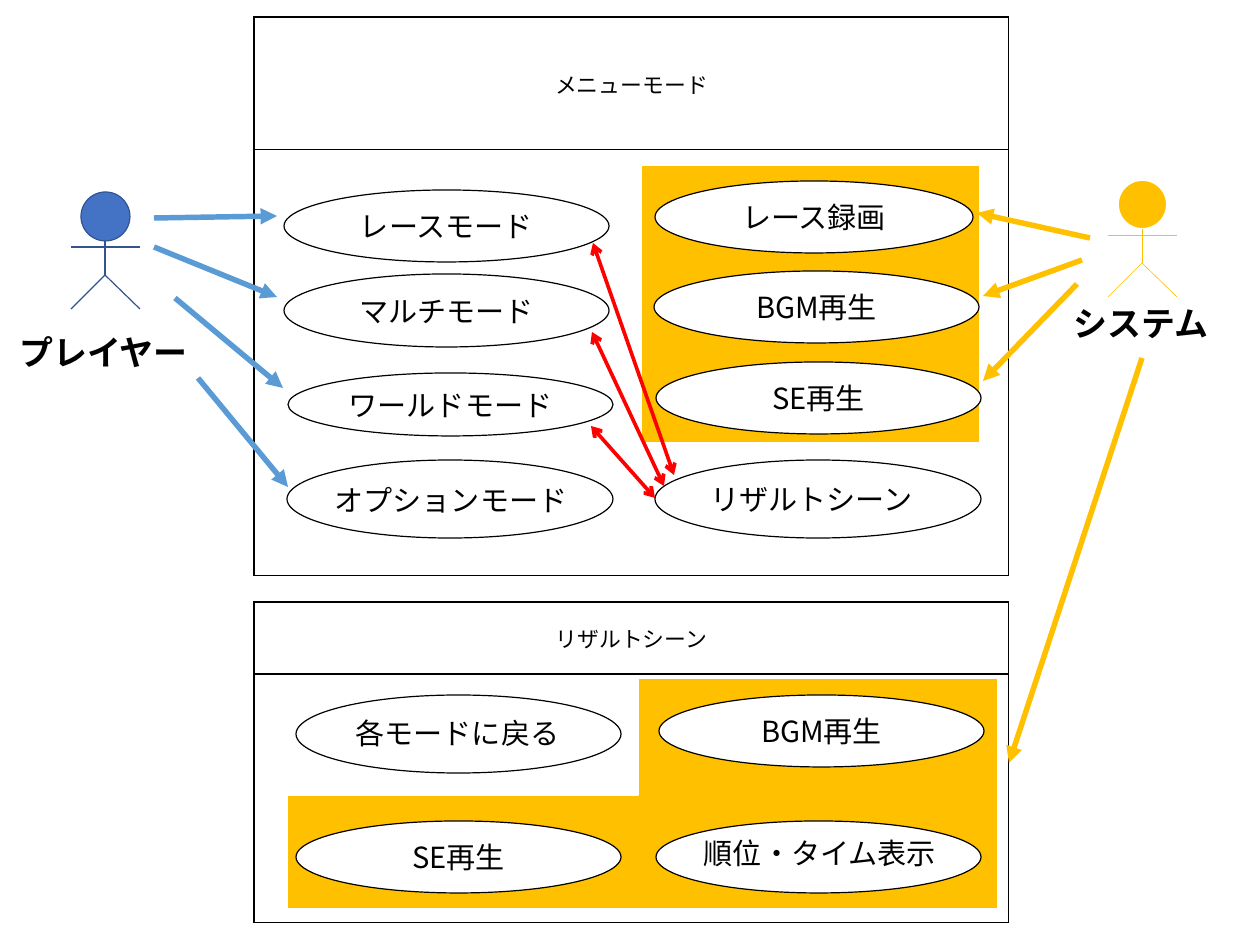
from lxml.etree import SubElement
from pptx import Presentation
from pptx.dml.color import RGBColor
from pptx.enum.shapes import MSO_CONNECTOR, MSO_SHAPE
from pptx.enum.text import MSO_ANCHOR, MSO_AUTO_SIZE, PP_ALIGN
from pptx.oxml.ns import qn
from pptx.util import Pt

PX = 10480  # EMU per pixel
FONT = "Noto Sans CJK JP"
BLACK, WHITE, GOLD, RED = "000000", "FFFFFF", "FFC000", "FF0000"
BLUE, NAVY, SKY = "4472C4", "325491", "5B9BD5"


def color(hex_string):
    """Turn a hex string into a colour."""
    return RGBColor.from_string(hex_string)


def emu(*pixels):
    """Turn pixels into EMU."""
    return [v * PX for v in pixels]


def write(tf, text, size, bold=False):
    """Write one centred black line into a text frame."""
    tf.text = text
    tf.vertical_anchor = MSO_ANCHOR.MIDDLE
    p = tf.paragraphs[0]
    p.alignment = PP_ALIGN.CENTER
    font = p.runs[0].font
    font.name, font.size, font.bold = FONT, Pt(size), bold
    font.color.rgb = color(BLACK)
    SubElement(p.runs[0]._r.rPr, qn("a:ea"), typeface=FONT)


def paint(sp, fill, line, width):
    """Set the fill and outline of a shape and drop its shadow."""
    sp.shadow.inherit = False
    sp.fill.solid()
    sp.fill.fore_color.rgb = color(fill)
    sp.line.color.rgb = color(line)
    sp.line.width = Pt(width)


def add_label(shapes, box, text, size=24, bold=False):
    """Add a text box that keeps its text on one line."""
    tf = shapes.add_textbox(*emu(*box)).text_frame
    tf.word_wrap = False
    tf.auto_size = MSO_AUTO_SIZE.SHAPE_TO_FIT_TEXT
    write(tf, text, size, bold)


def add_line(shapes, ends, line, width, head=None, tail=None):
    """Add a straight line with optional arrowheads."""
    cn = shapes.add_connector(MSO_CONNECTOR.STRAIGHT, *emu(*ends))
    cn.line.color.rgb = color(line)
    cn.line.width = Pt(width)
    ln = cn.line._get_or_add_ln()
    for tag, kind in (("a:headEnd", head), ("a:tailEnd", tail)):
        if kind:
            SubElement(ln, qn(tag), type=kind)
    SubElement(cn._element.spPr, qn("a:effectLst"))


def add_use_case(s, box, text, label_box=None):
    """Add an ellipse with its text inside, or in a label of its own."""
    sp = s.shapes.add_shape(MSO_SHAPE.OVAL, *emu(*box))
    paint(sp, WHITE, BLACK, 1)
    if label_box:
        add_label(s.shapes, label_box, text)
        return
    tf = sp.text_frame
    tf.margin_left, tf.margin_top, tf.margin_right, tf.margin_bottom = emu(5, 3, 5, 3)
    write(tf, text, 24)


def add_frame(s, box, title, title_height):
    """Add a two-row table: a title above an empty area."""
    x, y, w, h = box
    table = s.shapes.add_table(2, 1, *emu(x, y, w, h)).table
    table.first_row = table.horz_banding = False
    table.rows[0].height, table.rows[1].height = emu(title_height, h - title_height)
    for cell in table.iter_cells():
        tc_pr = cell._tc.get_or_add_tcPr()
        for side in ("lnL", "lnR", "lnT", "lnB"):
            ln = SubElement(tc_pr, qn(f"a:{side}"), w=str(Pt(1)))
            SubElement(SubElement(ln, qn("a:solidFill")), qn("a:srgbClr"), val=BLACK)
        cell.fill.background()
    title_cell = table.cell(0, 0)
    write(title_cell.text_frame, title, 18)
    title_cell.vertical_anchor = MSO_ANCHOR.MIDDLE


def add_menu_mode(s, box):
    """Build the menu mode frame with its use cases and links."""
    x, y = box[:2]
    add_frame(s, box, "メニューモード", 133)
    highlight = s.shapes.add_shape(MSO_SHAPE.RECTANGLE, *emu(x + 387, y + 148, 339, 278))
    paint(highlight, GOLD, WHITE, 1.5)
    for dx, dy, w, h, text in (
        (30, 173, 325, 72, "レースモード"),
        (30, 257, 325, 73, "マルチモード"),
        (34, 356, 325, 63, "ワールドモード"),
        (401, 164, 318, 72, "レース録画"),
        (400, 254, 325, 72, "BGM再生"),
        (402, 345, 325, 72, "SE再生"),
    ):
        add_use_case(s, (x + dx, y + dy, w, h), text)
    add_use_case(s, (x + 33, y + 443, 326, 78), "オプションモード", (x + 71, y + 461, 252, 44))
    add_use_case(s, (x + 401, y + 443, 326, 78), "リザルトシーン", (x + 446, y + 460, 223, 44))
    for x1, y1, x2, y2 in ((339, 226, 420, 458), (338, 315, 410, 469), (337, 409, 401, 481)):
        add_line(s.shapes, (x + x1, y + y1, x + x2, y + y2), RED, 3, "arrow", "arrow")


def add_result_scene(s, box):
    """Build the result scene frame with its use cases."""
    x, y = box[:2]
    add_frame(s, box, "リザルトシーン", 72)
    corners = ((384, 76), (744, 76), (744, 307), (33, 307), (33, 193), (384, 193))
    start, *rest = [(x + dx, y + dy) for dx, dy in corners]
    outline = s.shapes.build_freeform(*start, scale=PX)
    outline.add_line_segments(rest, close=True)
    paint(outline.convert_to_shape(), GOLD, WHITE, 1.5)
    add_use_case(s, (x + 405, y + 93, 325, 72), "BGM再生")
    add_use_case(s, (x + 42, y + 219, 325, 72), "SE再生")
    add_use_case(s, (x + 42, y + 93, 325, 78), "各モードに戻る", (x + 92, y + 109, 223, 44))
    add_use_case(s, (x + 402, y + 219, 325, 72), "順位・タイム表示", (x + 440, y + 229, 252, 44))


def add_actor(s, box, name, name_box, fill, line, head_width, limb_width, arrow_color, arrows):
    """Build a stick figure with its name and the arrows that leave it."""
    x, y, w, h = box
    mid, neck, arm, hip = x + w // 2, y + 49, y + 55, y + 83
    shapes = s.shapes.add_group_shape().shapes
    head = shapes.add_shape(MSO_SHAPE.OVAL, *emu(x + 10, y, 49, 49))
    paint(head, fill, line if head_width == limb_width else WHITE, head_width)
    for ends in (
        (mid, neck, mid, hip),
        (x, y + h, mid, hip),
        (x + w, y + h, mid, hip),
        (x + w, arm, mid, arm),
        (mid, arm, x, arm),
    ):
        add_line(shapes, ends, line, limb_width)
    dx, dy, name_w, name_h = name_box
    add_label(s.shapes, (x + dx, y + dy, name_w, name_h), name, 28, True)
    for x1, y1, x2, y2 in arrows:
        add_line(s.shapes, (x + x1, y + y1, x + x2, y + y2), arrow_color, 4.5, tail="triangle")


prs = Presentation()
prs.slide_width, prs.slide_height = emu(1260, 945)
s = prs.slides.add_slide(prs.slide_layouts[6])
add_result_scene(s, (254, 602, 755, 321))
add_menu_mode(s, (254, 17, 755, 559))
add_actor(
    s, (71, 192, 69, 117), "プレイヤー", (-62, 135, 189, 50), BLUE, NAVY, 1, 1, SKY,
    ((83, 26, 206, 24), (83, 55, 206, 105), (104, 106, 212, 196), (127, 186, 217, 295)),
)
add_actor(
    s, (1108, 180, 69, 117), "システム", (-44, 118, 154, 50), GOLD, GOLD, 1.5, 0.5, GOLD,
    ((-18, 58, -131, 33), (-26, 80, -125, 116), (-31, 104, -125, 201), (34, 178, -99, 583)),
)
prs.save("out.pptx")
